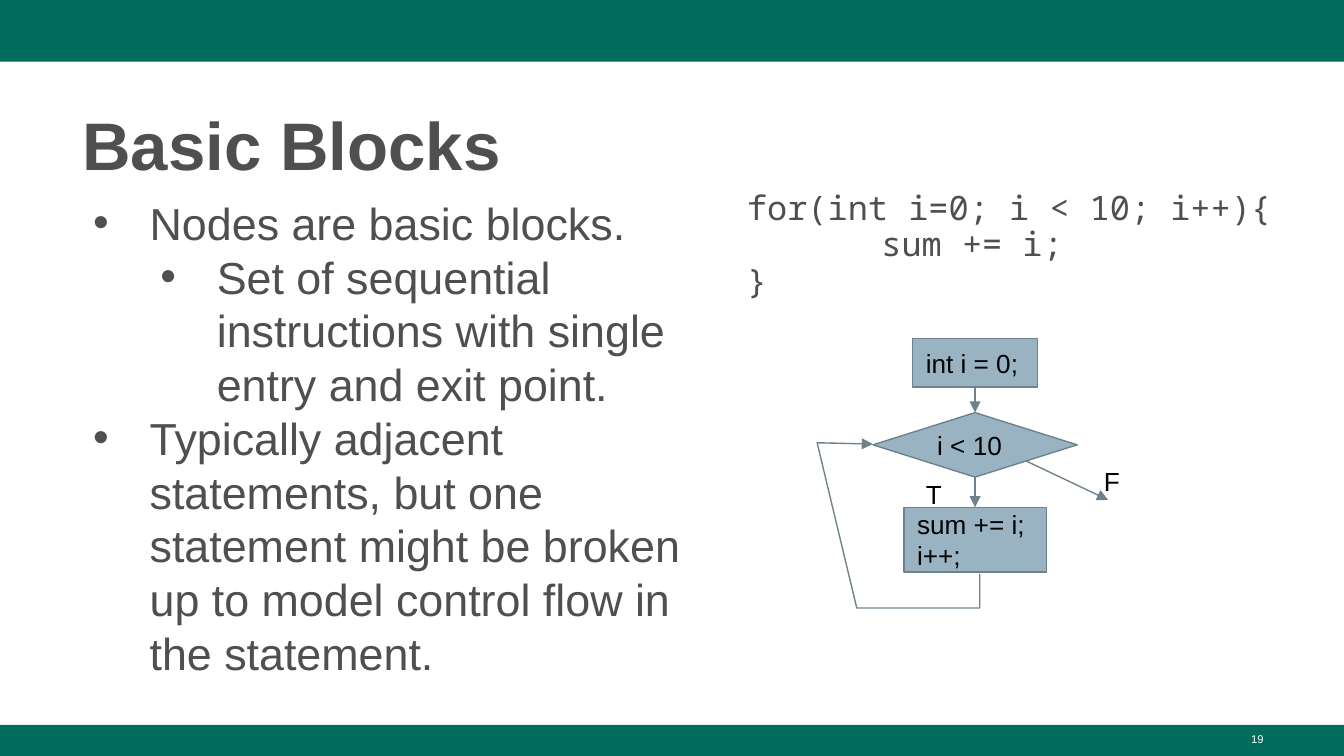
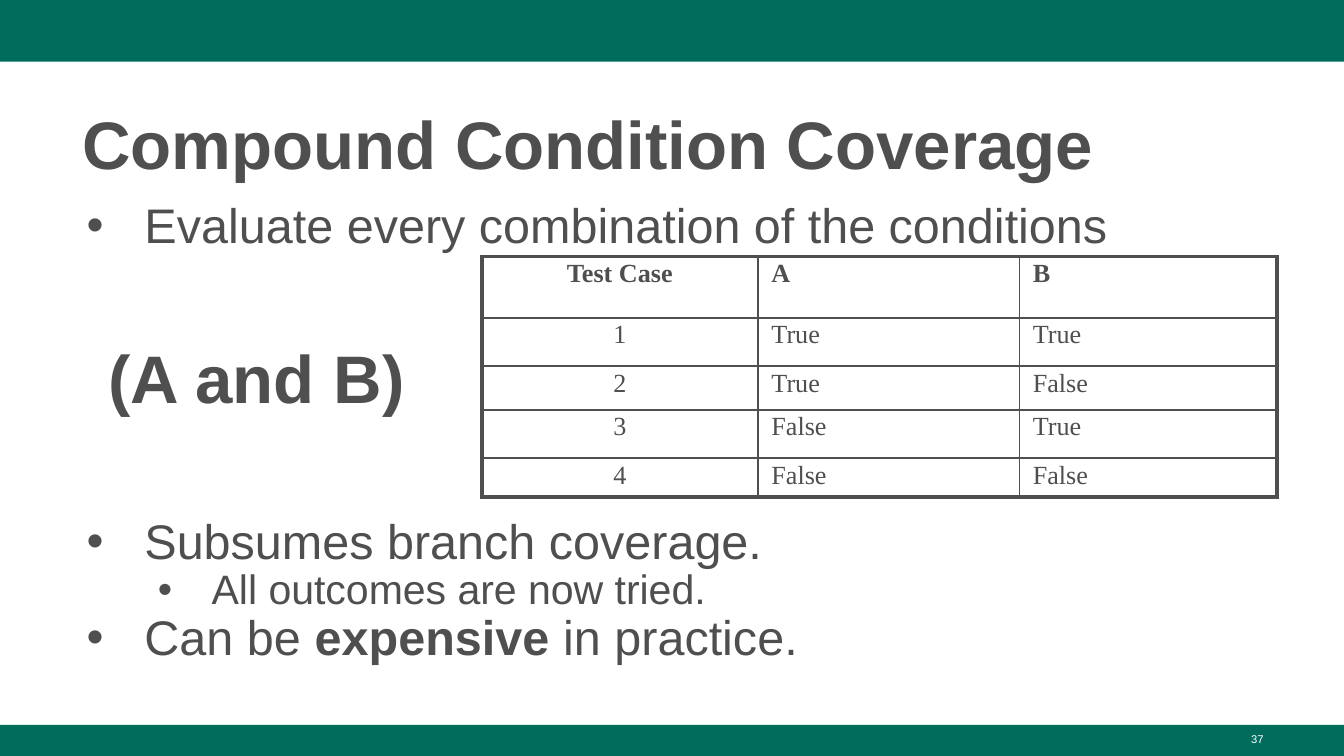
from dataclasses import dataclass
from typing import Optional, Sequence

from lxml.etree import SubElement
from pptx import Presentation
from pptx.dml.color import RGBColor
from pptx.enum.shapes import MSO_CONNECTOR as CONN, MSO_SHAPE as SHAPE
from pptx.enum.text import MSO_ANCHOR as ANCHOR, PP_ALIGN as ALIGN
from pptx.oxml.ns import qn
from pptx.util import Emu, Pt

PX = 4572  # EMU per px, 200 px to the inch


def px(n: int) -> Emu:
    return Emu(n * PX)


@dataclass(frozen=True)
class Type:
    size: int
    color: str
    font: str = "Arial"
    bold: bool = False


@dataclass(frozen=True)
class Theme:
    band: str = "006C5C"
    ink: str = "4F4F4F"
    node: str = "99B3C2"
    edge: str = "6F828C"
    edge_pt: float = 0.75
    outer_pt: float = 2.25
    inner_pt: float = 1
    title: Type = Type(36, "4F4F4F", bold=True)
    body: Type = Type(24, "4F4F4F")
    wide_body: Type = Type(26, "4F4F4F")
    sub_body: Type = Type(22, "4F4F4F")
    strong: Type = Type(26, "4F4F4F", bold=True)
    code: Type = Type(18, "4F4F4F", "Noto Sans Mono")
    label: Type = Type(14, "000000")
    cell: Type = Type(14, "4F4F4F", "Times New Roman")
    head: Type = Type(14, "4F4F4F", "Times New Roman", True)
    number: Type = Type(6, "FFFFFF")


T = Theme()


@dataclass(frozen=True)
class Box:
    x: int
    y: int
    w: int
    h: int

    def emu(self) -> tuple:
        return px(self.x), px(self.y), px(self.w), px(self.h)


@dataclass(frozen=True)
class Run:
    text: str
    type: Type


@dataclass(frozen=True)
class Para:
    runs: Sequence[Run]
    level: int = 0
    hang: int = 0  # bullet hanging indent; 0 means no bullet
    tab: int = 0  # tab stop; 0 means none
    spacing: Optional[float] = None
    before: int = 0
    align: ALIGN = ALIGN.LEFT


@dataclass(frozen=True)
class Node:
    box: Box
    lines: Sequence[str]
    kind: SHAPE = SHAPE.RECTANGLE


Inset = tuple[int, int, int, int]
EVEN: Inset = (20, 20, 20, 20)
FLAT: Inset = (20, 10, 20, 10)


def rgb(color: str) -> RGBColor:
    return RGBColor.from_string(color)


def line(text: str, kind: Type, **options) -> Para:
    return Para([Run(text, kind)], **options)


# Text
def add_bullet(p, para: Para) -> None:
    pPr = p._p.get_or_add_pPr()
    pPr.set("marL", str(px(100 * (para.level + 1))))
    pPr.set("indent", str(px(-para.hang)))
    SubElement(SubElement(pPr, qn("a:buClr")), qn("a:srgbClr"), val=T.ink)
    SubElement(pPr, qn("a:buFont"), typeface="Arial")
    SubElement(pPr, qn("a:buChar"), char="•")


def add_tab(p, position: int) -> None:
    tabs = SubElement(p._p.get_or_add_pPr(), qn("a:tabLst"))
    SubElement(tabs, qn("a:tab"), pos=str(px(position)), algn="l")


def write(tf, paras: Sequence[Para]) -> None:
    for i, para in enumerate(paras):
        p = tf.add_paragraph() if i else tf.paragraphs[0]
        if para.hang:
            add_bullet(p, para)
        if para.tab:
            add_tab(p, para.tab)
        p.level = para.level
        p.alignment = para.align
        if para.spacing:
            p.line_spacing = para.spacing
        if para.before:
            p.space_before = Pt(para.before)
        for run in para.runs:
            r = p.add_run()
            r.text = run.text
            r.font.name = run.type.font
            r.font.size = Pt(run.type.size)
            r.font.bold = run.type.bold
            r.font.color.rgb = rgb(run.type.color)


def set_margins(target, inset: Inset) -> None:
    (target.margin_left, target.margin_top,
     target.margin_right, target.margin_bottom) = map(px, inset)


def fill_frame(tf, paras: Sequence[Para], inset: Inset, anchor: ANCHOR) -> None:
    tf.word_wrap = True
    tf.vertical_anchor = anchor
    set_margins(tf, inset)
    write(tf, paras)


def add_text(s, box: Box, paras: Sequence[Para], inset: Inset = EVEN,
             anchor: ANCHOR = ANCHOR.TOP) -> None:
    fill_frame(s.shapes.add_textbox(*box.emu()).text_frame, paras, inset, anchor)


# Shapes and lines
def add_node(s, node: Node):
    sp = s.shapes.add_shape(node.kind, *node.box.emu())
    sp.shadow.inherit = False
    sp.fill.solid()
    sp.fill.fore_color.rgb = rgb(T.node)
    set_edge(sp)
    fill_frame(sp.text_frame, [line(t, T.label) for t in node.lines],
               EVEN, ANCHOR.MIDDLE)
    return sp


def set_edge(sp, arrow: bool = False) -> None:
    sp.line.color.rgb = rgb(T.edge)
    sp.line.width = Pt(T.edge_pt)
    if arrow:
        SubElement(sp.element.spPr.find(qn("a:ln")), qn("a:tailEnd"), type="triangle")


def add_arrow(s, x1: int, y1: int, x2: int, y2: int):
    c = s.shapes.add_connector(CONN.STRAIGHT, px(x1), px(y1), px(x2), px(y2))
    set_edge(c, arrow=True)
    SubElement(c.element.spPr, qn("a:effectLst"))
    return c


def add_drop(s, upper, lower) -> None:
    c = add_arrow(s, 0, 0, 0, 0)
    c.begin_connect(upper, 2)
    c.end_connect(lower, 0)


def add_loop(s, points: Sequence[tuple[int, int]]) -> None:
    builder = s.shapes.build_freeform(*points[0], scale=PX)
    builder.add_line_segments(points[1:], close=False)
    sp = builder.convert_to_shape()
    sp.shadow.inherit = False
    sp.fill.background()
    set_edge(sp, arrow=True)


# Table
def set_borders(cell, outer: dict[str, bool]) -> None:
    tcPr = cell._tc.get_or_add_tcPr()
    for side, is_outer in outer.items():
        width = Pt(T.outer_pt if is_outer else T.inner_pt)
        ln = SubElement(tcPr, qn(f"a:ln{side}"), w=str(width))
        SubElement(SubElement(ln, qn("a:solidFill")), qn("a:srgbClr"), val=T.ink)


def add_grid(s, x: int, y: int, cols: Sequence[int], rows: Sequence[int],
             data: Sequence[Sequence[str]]) -> None:
    box = Box(x, y, sum(cols), sum(rows))
    table = s.shapes.add_table(len(rows), len(cols), *box.emu()).table
    table.first_row = table.horz_banding = False
    for col, w in zip(table.columns, cols):
        col.width = px(w)
    for row, h in zip(table.rows, rows):
        row.height = px(h)
    for i, values in enumerate(data):
        for j, value in enumerate(values):
            cell = table.cell(i, j)
            set_borders(cell, {"L": j == 0, "R": j == len(cols) - 1,
                               "T": i == 0, "B": i == len(rows) - 1})
            cell.fill.background()
            set_margins(cell, (20, 8, 20, 8))
            write(cell.text_frame, [line(value, T.cell if i else T.head, spacing=0.9,
                                         align=ALIGN.LEFT if j else ALIGN.CENTER)])


# Shared frame: bands, title and page number
def add_slide(prs, title: str, number: int, anchor: ANCHOR = ANCHOR.TOP):
    s = prs.slides.add_slide(prs.slide_layouts[6])
    for band in (Box(0, 0, 2000, 92), Box(0, 1079, 2000, 46)):
        sp = s.shapes.add_shape(SHAPE.RECTANGLE, *band.emu())
        sp.shadow.inherit = False
        sp.fill.solid()
        sp.fill.fore_color.rgb = rgb(T.band)
        sp.line.fill.background()
    add_text(s, Box(103, 134, 1798, 146), [line(title, T.title, spacing=1.08)],
             FLAT, anchor)
    add_text(s, Box(1434, 1080, 466, 46),
             [line(str(number), T.number, align=ALIGN.RIGHT)], FLAT)
    return s


def build_basic_blocks(prs) -> None:
    s = add_slide(prs, "Basic Blocks", 19)
    add_text(s, Box(103, 281, 950, 762), [
        line("Nodes are basic blocks.", T.body, hang=84),
        line("Set of sequential instructions with single entry and exit point.",
             T.body, level=1, hang=84),
        line("Typically adjacent statements, but one statement might be broken up "
             "to model control flow in the statement.", T.body, hang=84),
    ], FLAT)
    code = ("for(int i=0; i < 10; i++){", "\tsum += i;", "}")
    add_text(s, Box(1092, 253, 874, 226),
             [line(t, T.code, spacing=0.9, tab=200) for t in code],
             anchor=ANCHOR.MIDDLE)

    # Control flow graph
    start, test, block = [add_node(s, node) for node in (
        Node(Box(1358, 504, 186, 72), ["int i = 0;"]),
        Node(Box(1299, 614, 304, 96), ["i < 10"], SHAPE.DIAMOND),
        Node(Box(1345, 755, 212, 96), ["sum += i;", "i++;"]),
    )]
    add_drop(s, start, test)
    add_drop(s, test, block)
    add_arrow(s, 1527, 686, 1649, 744)
    add_loop(s, [(1458, 854), (1458, 905), (1275, 905), (1216, 659), (1299, 661)])
    add_text(s, Box(1623, 675, 98, 38), [line("F", T.label)])
    add_text(s, Box(1358, 692, 60, 44), [line("T", T.label)])


def build_compound_coverage(prs) -> None:
    s = add_slide(prs, "Compound Condition Coverage", 37, ANCHOR.MIDDLE)
    add_text(s, Box(103, 280, 1798, 762), [
        line("Evaluate every combination of the conditions", T.wide_body,
             hang=86, spacing=0.9),
        line("Subsumes branch coverage.", T.wide_body,
             hang=86, spacing=0.9, before=141),
        line("All outcomes are now tried.", T.sub_body, level=1, hang=80, spacing=0.9),
        Para([Run("Can be ", T.wide_body), Run("expensive", T.strong),
              Run(" in practice.", T.wide_body)], hang=86, spacing=0.9),
    ], (12, 20, 20, 10))
    add_grid(s, 717, 382, (411, 389, 383), (91, 72, 65, 72, 56), [
        ("Test Case", "A", "B"),
        ("1", "True", "True"),
        ("2", "True", "False"),
        ("3", "False", "True"),
        ("4", "False", "False"),
    ])
    add_text(s, Box(142, 481, 514, 126), [line("(A and B)", T.title)])


def main() -> None:
    prs = Presentation()
    prs.slide_width, prs.slide_height = px(2000), px(1125)
    build_basic_blocks(prs)
    build_compound_coverage(prs)
    prs.save("out.pptx")


if __name__ == "__main__":
    main()
